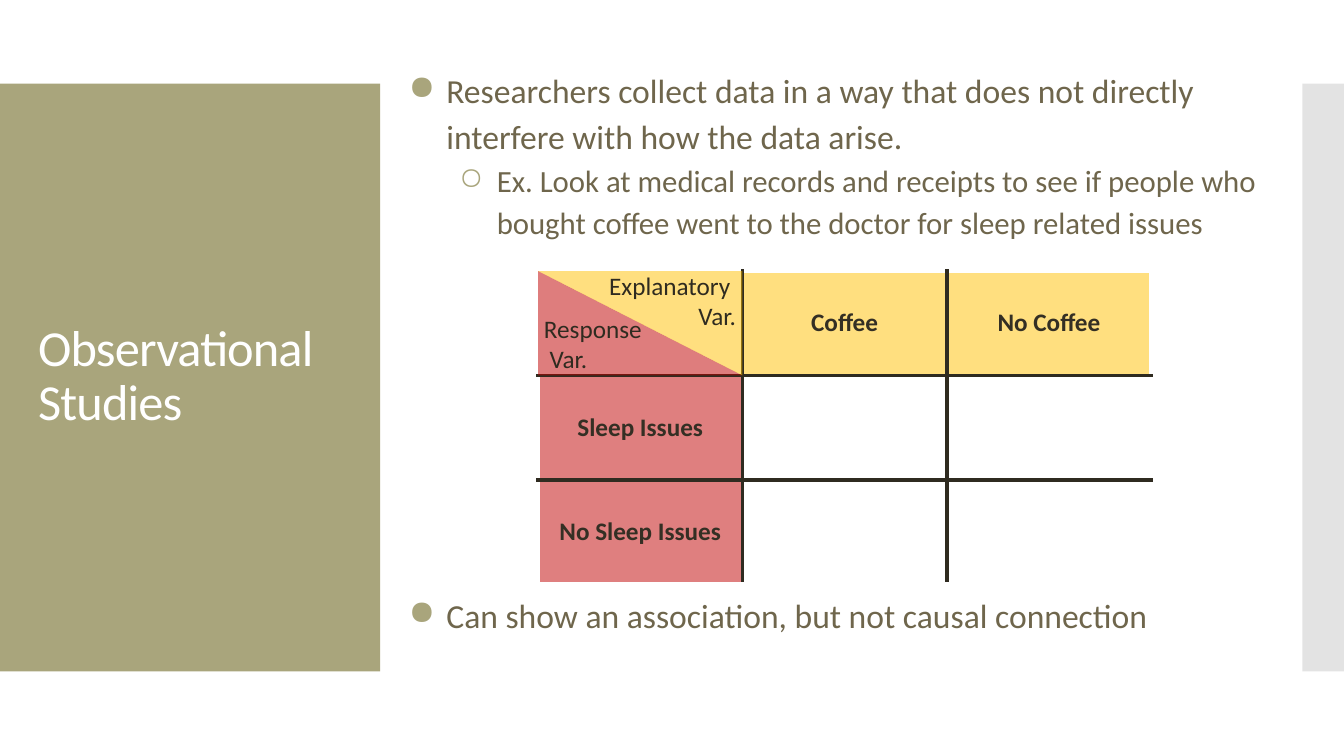
"""Build the slide on observational studies with its two-way table."""
from dataclasses import dataclass

from pptx import Presentation
from pptx.dml.color import RGBColor
from pptx.enum.shapes import MSO_SHAPE
from pptx.enum.text import MSO_ANCHOR, PP_ALIGN
from pptx.oxml.ns import qn
from pptx.oxml.xmlchemy import OxmlElement
from pptx.util import Cm, Pt

RECTANGLE, TRIANGLE = MSO_SHAPE.RECTANGLE, MSO_SHAPE.RIGHT_TRIANGLE
LEFT, CENTER, RIGHT = PP_ALIGN.LEFT, PP_ALIGN.CENTER, PP_ALIGN.RIGHT
TOP, MIDDLE = MSO_ANCHOR.TOP, MSO_ANCHOR.MIDDLE
FONT = "Calibri"
COLORS = {
    "white": "FFFFFF", "olive": "A9A57C", "gray": "C8C8C8", "brown": "6F664C",
    "dark": "2F2B20", "heading": "342F24", "yellow": "FFC000", "red": "C00000",
}
TABLE_LEFT, TABLE_TOP = 13.56, 6.83
COLUMN_WIDTH, ROW_HEIGHT = 5.15, 2.63
HEADINGS = [
    ["", "Coffee", "No Coffee"],
    ["Sleep Issues", "", ""],
    ["No Sleep Issues", "", ""],
]


@dataclass
class Box:
    left: float
    top: float
    width: float
    height: float

    def lengths(self) -> tuple:
        return Cm(self.left), Cm(self.top), Cm(self.width), Cm(self.height)


@dataclass
class Block:
    box: Box
    color: str
    opacity: int = 100
    kind: int = RECTANGLE
    rotation: int = 0


@dataclass
class Line:
    text: str
    size: int
    color: str
    align: int = LEFT
    bold: bool = False
    spacing: float = 1.0
    bullet: str = ""
    level: int = 0
    tracking: int = 0


@dataclass
class TextArea:
    box: Box
    lines: list
    anchor: int = TOP
    inset: float = 0.25
    wrap: bool = True


CORNER = Box(TABLE_LEFT, TABLE_TOP, COLUMN_WIDTH, ROW_HEIGHT)
PANELS = [
    Block(Box(0, 2.11, 9.58, 14.81), "olive"),
    Block(Box(32.82, 2.11, 1.05, 14.81), "gray", 50),
]
CORNER_HALVES = [
    Block(CORNER, "red", 51, TRIANGLE),
    Block(CORNER, "yellow", 50, TRIANGLE, 180),
]
BODY_AREAS = [
    TextArea(Box(9.73, 1.35, 22.86, 4.9), [
        Line("Researchers collect data in a way that does not directly interfere "
             "with how the data arise.", 24, "brown", spacing=1.15, bullet="●"),
        Line("Ex. Look at medical records and receipts to see if people who bought "
             "coffee went to the doctor for sleep related issues", 22, "brown",
             spacing=1.15, bullet="○", level=1),
    ]),
    TextArea(Box(9.73, 14.58, 22.86, 1.6), [
        Line("Can show an association, but not causal connection", 24, "brown",
             spacing=1.15, bullet="●"),
    ]),
    TextArea(Box(0.71, 3.12, 8.18, 12.78), [
        Line("Observational Studies", 36, "white", spacing=0.9, tracking=-60),
    ], MIDDLE),
]
CORNER_LABELS = [
    TextArea(Box(14.96, 6.68, 3.84, 1.8), [
        Line("Explanatory ", 18, "dark", RIGHT), Line("Var.", 18, "dark", RIGHT),
    ], inset=0.13, wrap=False),
    TextArea(Box(13.46, 7.77, 3.05, 1.8), [
        Line("Response", 18, "dark"), Line(" Var.", 18, "dark"),
    ], inset=0.13, wrap=False),
]


def rgb(name: str) -> RGBColor:
    return RGBColor.from_string(COLORS[name])


def set_fill(fill, properties, color: str, opacity: int) -> None:
    fill.solid()
    fill.fore_color.rgb = rgb(color)
    if opacity < 100:
        alpha = OxmlElement("a:alpha")
        alpha.set("val", str(opacity * 1000))
        properties.find(".//" + qn("a:srgbClr")).append(alpha)


def add_block(page, block: Block) -> None:
    shape = page.shapes.add_shape(block.kind, *block.box.lengths())
    shape.shadow.inherit = False
    shape.line.fill.background()
    shape.rotation = block.rotation
    set_fill(shape.fill, shape._element.spPr, block.color, block.opacity)


def add_bullet(para, line: Line) -> None:
    properties = para._p.get_or_add_pPr()
    properties.set("marL", str(Cm(1.27 * (line.level + 1))))
    properties.set("indent", str(-Cm(0.95)))
    for tag, parent_tag, key, value in (
        ("a:srgbClr", "a:buClr", "val", COLORS["olive"]),
        ("a:buChar", None, "char", line.bullet),
    ):
        element = OxmlElement(tag)
        element.set(key, value)
        if parent_tag:
            parent = OxmlElement(parent_tag)
            parent.append(element)
            element = parent
        properties.append(element)


def write_line(para, line: Line) -> None:
    para.alignment = line.align
    para.level = line.level
    para.line_spacing = line.spacing
    if line.bullet:
        add_bullet(para, line)
    span = para.add_run()
    span.text = line.text
    if line.tracking:
        span._r.get_or_add_rPr().set("spc", str(line.tracking))
    font = para.font
    font.name, font.size, font.bold = FONT, Pt(line.size), line.bold
    font.color.rgb = rgb(line.color)


def add_text(page, area: TextArea) -> None:
    frame = page.shapes.add_textbox(*area.box.lengths()).text_frame
    frame.word_wrap = area.wrap
    frame.vertical_anchor = area.anchor
    frame.margin_left = frame.margin_right = Cm(0.25)
    frame.margin_top = frame.margin_bottom = Cm(area.inset)
    for index, line in enumerate(area.lines):
        para = frame.add_paragraph() if index else frame.paragraphs[0]
        write_line(para, line)


def set_borders(cell, row: int, column: int) -> None:
    last = len(HEADINGS) - 1
    outer = {"L": column == 0, "R": column == last, "T": row == 0, "B": row == last}
    for index, (side, is_outer) in enumerate(outer.items()):
        border = OxmlElement(f"a:ln{side}")
        border.set("w", str(Pt(3)))
        paint = OxmlElement("a:solidFill")
        color = OxmlElement("a:srgbClr")
        color.set("val", COLORS["white" if is_outer else "dark"])
        paint.append(color)
        border.append(paint)
        cell._tc.get_or_add_tcPr().insert(index, border)


def add_study_table(page) -> None:
    count = len(HEADINGS)
    box = Box(TABLE_LEFT, TABLE_TOP, COLUMN_WIDTH * count, ROW_HEIGHT * count)
    table = page.shapes.add_table(count, count, *box.lengths()).table
    table.first_row = table.horz_banding = False
    for row, headings in enumerate(HEADINGS):
        table.rows[row].height = Cm(ROW_HEIGHT)
        table.columns[row].width = Cm(COLUMN_WIDTH)
        for column, heading in enumerate(headings):
            cell = table.cell(row, column)
            cell.vertical_anchor = MIDDLE
            if heading:
                write_line(cell.text_frame.paragraphs[0],
                           Line(heading, 18, "heading", CENTER, True))
                color = "red" if row else "yellow"
                set_fill(cell.fill, cell._tc.get_or_add_tcPr(), color, 50)
            else:
                cell.fill.background()
            set_borders(cell, row, column)


def main() -> None:
    deck = Presentation()
    deck.slide_width, deck.slide_height = Cm(33.87), Cm(19.05)
    page = deck.slides.add_slide(deck.slide_layouts[6])
    for panel in PANELS:
        add_block(page, panel)
    for area in BODY_AREAS:
        add_text(page, area)
    add_study_table(page)
    for half in CORNER_HALVES:
        add_block(page, half)
    for label in CORNER_LABELS:
        add_text(page, label)
    deck.save("out.pptx")


if __name__ == "__main__":
    main()
